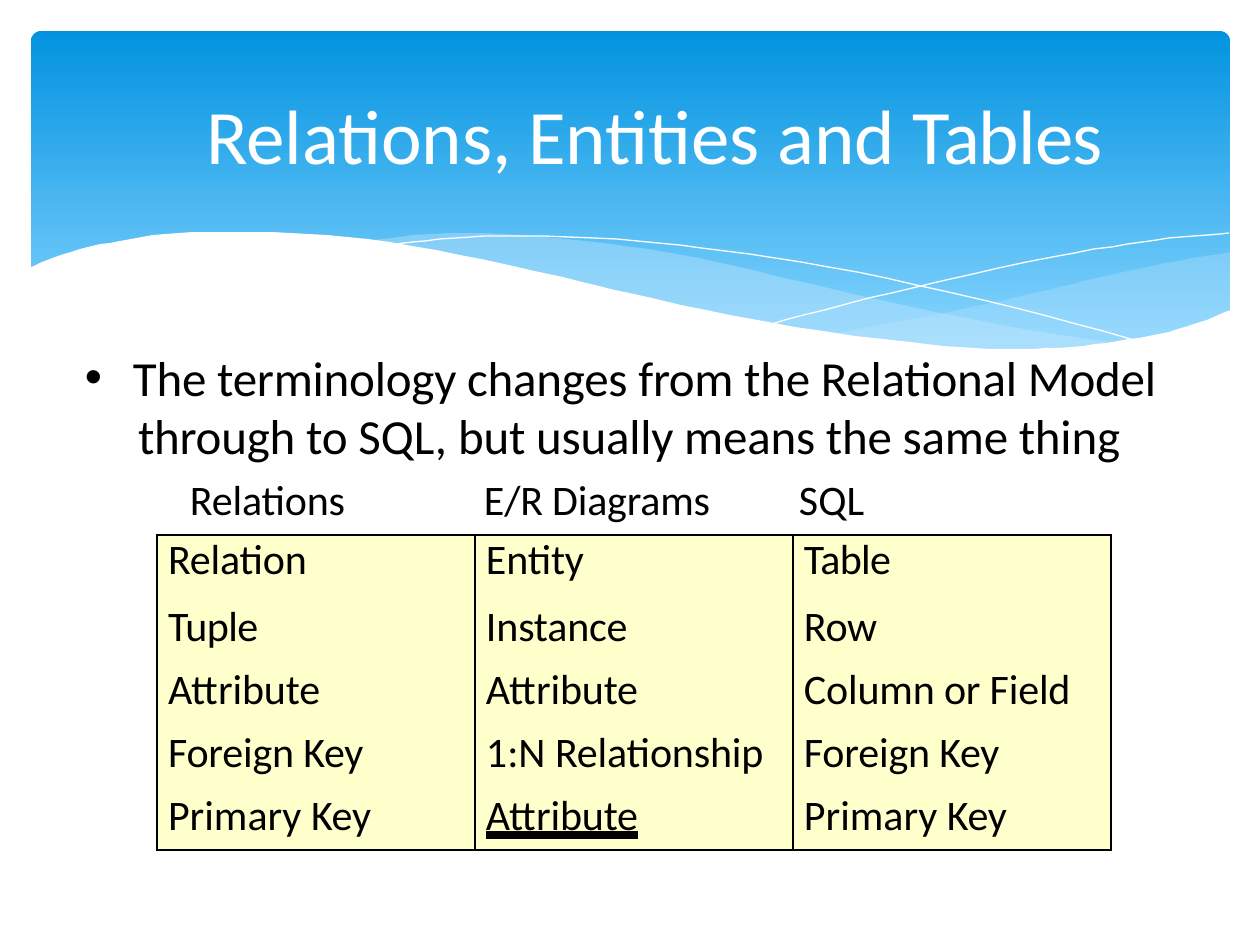
import pptx
import pptx.util
import pptx.dml.color
import pptx.enum.shapes
import pptx.enum.text
import pptx.oxml.ns
from lxml import etree

SCALE = 914400 // 126
ALIGN = pptx.enum.text.PP_ALIGN
ANCHOR = pptx.enum.text.MSO_ANCHOR
UNDERLINE = pptx.enum.text.MSO_UNDERLINE
qn = pptx.oxml.ns.qn


def px(n):
    return pptx.util.Emu(n * SCALE)


def color(value):
    return pptx.dml.color.RGBColor.from_string(value)


def spline(points, steps=4):
    """Smooth curve through the points (Catmull-Rom)."""
    ext = [points[0], *points, points[-1]]
    out = [points[0]]
    for a, b, c, d in zip(ext, ext[1:], ext[2:], ext[3:]):
        for i in range(1, steps + 1):
            t = i / steps
            out.append(tuple(
                (2 * q + (r - p) * t + (2 * p - 5 * q + 4 * r - s) * t ** 2
                 + (3 * q - p - 3 * r + s) * t ** 3) / 2
                for p, q, r, s in zip(a, b, c, d)))
    return out


class Deck:
    font = "Calibri"
    ink = "000000"
    paper = "FFFFFF"
    cell_fill = "FFFFCC"
    border = 1.5

    def __init__(self):
        self.prs = pptx.Presentation()
        self.prs.slide_width, self.prs.slide_height = px(1260), px(945)
        self.s = self.prs.slides.add_slide(self.prs.slide_layouts[6])

    def banner(self, x, y, w, h, radius, stops):
        sp = self.s.shapes.add_shape(
            pptx.enum.shapes.MSO_SHAPE.ROUNDED_RECTANGLE, px(x), px(y), px(w), px(h))
        sp.adjustments[0] = radius
        sp.shadow.inherit = False
        sp.line.fill.background()
        sp.fill.gradient()
        sp.fill.gradient_angle = 270
        for stop, (pos, value) in zip(sp.fill.gradient_stops, stops):
            stop.position = pos
            stop.color.rgb = color(value)

    def curve(self, points, fill=None, alpha=None, line=None):
        fb = self.s.shapes.build_freeform(*points[0], scale=SCALE)
        fb.add_line_segments(points[1:], close=fill is not None)
        sp = fb.convert_to_shape()
        sp.shadow.inherit = False
        if fill:
            sp.fill.solid()
            sp.fill.fore_color.rgb = color(fill)
        else:
            sp.fill.background()
        if alpha:
            clr = sp.fill._xPr.find(".//" + qn("a:srgbClr"))
            etree.SubElement(clr, qn("a:alpha")).set("val", str(alpha * 1000))
        if line:
            sp.line.color.rgb = color(line)
            sp.line.width = 0
        else:
            sp.line.fill.background()

    def paragraph(self, p, runs, size, ink=None, align=ALIGN.LEFT,
                  margin=0, indent=0, bullet=None, underline=None):
        p.alignment = align
        pPr = p._p.get_or_add_pPr()
        pPr.set("marL", str(px(margin)))
        pPr.set("indent", str(px(indent)))
        if bullet:
            etree.SubElement(pPr, qn("a:buFont")).set("typeface", "Arial")
            etree.SubElement(pPr, qn("a:buChar")).set("char", bullet)
        for text, spacing in runs:
            r = p.add_run()
            r.text = text
            r.font.name = self.font
            r.font.size = pptx.util.Pt(size)
            r.font.color.rgb = color(ink or self.ink)
            if underline:
                r.font.underline = underline
            r._r.get_or_add_rPr().set("spc", str(round(spacing * 100)))

    def text(self, x, y, w, h, paragraphs, size, anchor=ANCHOR.TOP, ink=None):
        tf = self.s.shapes.add_textbox(px(x), px(y), px(w), px(h)).text_frame
        tf.word_wrap = True
        tf.vertical_anchor = anchor
        tf.margin_left = tf.margin_right = tf.margin_top = tf.margin_bottom = 0
        for i, (runs, style) in enumerate(paragraphs):
            p = tf.add_paragraph() if i else tf.paragraphs[0]
            self.paragraph(p, runs, size, ink, **style)

    def borders(self, cell, sides):
        tcPr = cell._tc.get_or_add_tcPr()
        for side in "LRTB":
            ln = etree.SubElement(tcPr, qn("a:ln" + side))
            if side in sides:
                ln.set("w", str(pptx.util.Pt(self.border)))
                solid = etree.SubElement(ln, qn("a:solidFill"))
                etree.SubElement(solid, qn("a:srgbClr")).set("val", self.ink)
            else:
                ln.set("w", "0")
                etree.SubElement(ln, qn("a:noFill"))

    def table(self, x, y, col_width, heights, rows, size, underlined):
        last = len(rows) - 1
        tbl = self.s.shapes.add_table(
            len(rows), len(rows[0]), px(x), px(y),
            px(col_width * len(rows[0])), px(sum(heights))).table
        tbl.first_row = tbl.horz_banding = False
        for col in tbl.columns:
            col.width = px(col_width)
        for i, row in enumerate(rows):
            tbl.rows[i].height = px(heights[i])
            for j, runs in enumerate(row):
                cell = tbl.cell(i, j)
                cell.margin_left = cell.margin_right = 0
                cell.margin_top = cell.margin_bottom = 0
                self.borders(cell, "LR" + "T" * (i == 0) + "B" * (i == last))
                cell.fill.solid()
                cell.fill.fore_color.rgb = color(self.cell_fill)
                p = cell.text_frame.paragraphs[0]
                if i == 0:
                    p.space_before = pptx.util.Pt(1.4)
                mark = UNDERLINE.HEAVY_LINE if (i, j) == underlined else None
                self.paragraph(p, runs, size, margin=11, underline=mark)


deck = Deck()

# Banner with waves
deck.banner(31, 31, 1199, 340, 0.03, [(0, "0293E0"), (0.9, "83D3FE")])
right_swell = spline([(1230, 252), (1178, 261), (1123, 272), (1048, 290), (949, 312),
                      (833, 334)]) + spline([
    (833, 334), (888, 341), (954, 348), (1026, 350), (1099, 345), (1160, 334),
    (1196, 324), (1230, 311)])
middle_swell = spline([
    (1125, 344), (1055, 334), (977, 320), (890, 302), (793, 280), (717, 262), (648, 249),
    (586, 241), (503, 234), (433, 234), (360, 241)]) + spline([
        (360, 241), (431, 251), (509, 266), (566, 280), (668, 302), (757, 321),
        (857, 338), (942, 348), (1017, 350), (1080, 349), (1125, 344)])
falling_line = spline([(389, 246), (413, 242), (471, 237), (524, 236), (616, 239),
                       (701, 248), (801, 262), (916, 285), (1047, 316), (1143, 343)])
rising_line = spline([(772, 324), (847, 304), (942, 281), (1053, 257), (1128, 244),
                      (1182, 237), (1229, 233)])
white_wave = spline([
    (1231, 310), (1197, 323), (1159, 334), (1118, 341), (1071, 347), (1019, 349),
    (959, 347), (892, 340), (816, 330), (730, 315), (634, 294), (563, 277), (460, 255),
    (368, 239), (290, 233), (223, 232), (166, 234), (120, 241), (84, 248), (58, 256),
    (29, 268)]) + [(29, 415), (1231, 415)]
deck.curve(right_swell, fill="C6E7FC", alpha=29)
deck.curve(middle_swell, fill="C6E7FC", alpha=40)
for thin_line in (falling_line, rising_line):
    deck.curve(thin_line, line=deck.paper)
deck.curve(white_wave, fill=deck.paper)

# Title and statement
deck.text(63, 47, 1134, 173, [
    ([("Relations, Entities ", -0.1), ("and ", 0), ("Tables", -0.6)],
     dict(align=ALIGN.CENTER, margin=49))], 44, ANCHOR.MIDDLE, deck.paper)
deck.text(84, 347, 1084, 122, [
    ([("The terminology changes ", -0.1), ("from ", -0.2), ("the Relational Model", -0.1)],
     dict(margin=49, indent=-48, bullet="•")),
    ([("through to ", -0.1), ("SQL, ", 0), ("but usually means the same thing", -0.1)],
     dict(align=ALIGN.CENTER, margin=6))], 28)

# Column headings
for x, w, runs in [(189, 160, [("Relations", -0.1)]),
                   (483, 232, [("E/R Diagrams", -0.1)]),
                   (798, 69, [("S", -0.1), ("Q", 0.1), ("L", 0)])]:
    deck.text(x, 473, w, 54, [(runs, dict(margin=1))], 24)

# Terms
foreign_key = [("Foreign ", -0.1), ("Key", -0.2)]
primary_key = [("Primary ", 0), ("Key", -0.2)]
attribute = [("Attribute", -0.1)]
deck.table(157, 535, 318, [67, 63, 63, 63, 59], [
    [[("Relation", -0.1)], [("Entity", -0.1)], [("Table", -0.4)]],
    [[("Tuple", -0.3)], [("Instance", -0.1)], [("Row", -0.2)]],
    [attribute, attribute, [("Column or Field", -0.1)]],
    [foreign_key, [("1:N ", 0), ("Relationship", -0.1)], foreign_key],
    [primary_key, attribute, primary_key],
], 24, underlined=(4, 1))

deck.prs.save("out.pptx")
